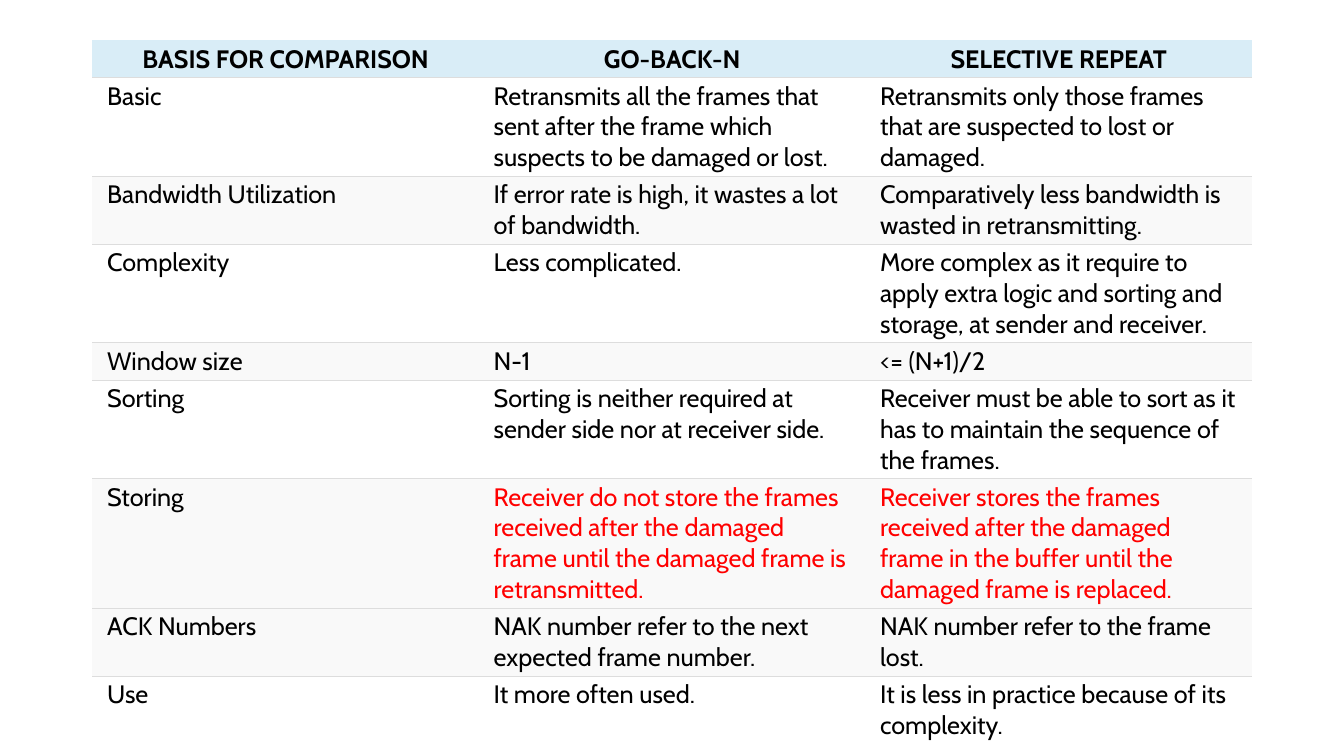
from dataclasses import dataclass

import pptx
import pptx.dml.color
import pptx.enum.text
import pptx.oxml.ns
import pptx.table
import pptx.text.text
import pptx.util
from lxml import etree

Cm = pptx.util.Cm
RGB = pptx.dml.color.RGBColor
Align = pptx.enum.text.PP_ALIGN
Anchor = pptx.enum.text.MSO_ANCHOR


@dataclass(frozen=True)
class Theme:
    font: str = "Cabin"
    size: int = 18
    ink: str = "000000"
    alert: str = "FF0000"
    head: str = "D9EDF7"
    plain: str = "FFFFFF"
    shade: str = "F9F9F9"
    rule: str = "DDDDDD"
    weight: float = 0.75


THEME = Theme()


@dataclass(frozen=True)
class Row:
    texts: tuple[str, str, str]
    height: float
    fill: str = THEME.plain
    accent: str = THEME.ink
    head: bool = False


ROWS = [
    Row(("BASIS FOR COMPARISON", "GO-BACK-N", "SELECTIVE REPEAT"),
        0.81, THEME.head, head=True),
    Row(("Basic",
         "Retransmits all the frames that sent after the frame which "
         "suspects to be damaged or lost.",
         "Retransmits only those frames that are suspected to lost or damaged."),
        2.08),
    Row(("Bandwidth Utilization",
         "If error rate is high, it wastes a lot of bandwidth.",
         "Comparatively less bandwidth is wasted in retransmitting."),
        1.45, THEME.shade),
    Row(("Complexity",
         "Less complicated.",
         "More complex as it require to apply extra logic and sorting and "
         "storage, at sender and receiver."),
        2.08),
    Row(("Window size", "N-1", "<= (N+1)/2"), 0.51, THEME.shade),
    Row(("Sorting",
         "Sorting is neither required at sender side nor at receiver side.",
         "Receiver must be able to sort as it has to maintain the sequence "
         "of the frames."),
        1.75),
    Row(("Storing",
         "Receiver do not store the frames received after the damaged frame "
         "until the damaged frame is retransmitted.",
         "Receiver stores the frames received after the damaged frame in the "
         "buffer until the damaged frame is replaced."),
        2.39, THEME.shade, THEME.alert),
    Row(("ACK Numbers",
         "NAK number refer to the next expected frame number.",
         "NAK number refer to the frame lost."),
        1.45, THEME.shade),
    Row(("Use",
         "It more often used.",
         "It is less in practice because of its complexity."),
        1.12),
]


def write(frame: pptx.text.text.TextFrame, text: str, *, color: str = THEME.ink,
          bold: bool = False, align: Align = Align.LEFT) -> None:
    para = frame.paragraphs[0]
    para.alignment = align
    run = para.add_run()
    run.text = text
    font = run.font
    font.name, font.size, font.bold = THEME.font, pptx.util.Pt(THEME.size), bold
    font.color.rgb = RGB.from_string(color)


def edge(cell: pptx.table._Cell, sides: str) -> None:
    """Rule the sides named by the letters L, R, T and B; clear the others."""
    qn = pptx.oxml.ns.qn
    props = cell._tc.get_or_add_tcPr()
    for side in "LRTB":
        line = etree.SubElement(props, qn(f"a:ln{side}"))
        if side in sides:
            line.set("w", str(pptx.util.Pt(THEME.weight)))
            fill = etree.SubElement(line, qn("a:solidFill"))
            etree.SubElement(fill, qn("a:srgbClr"), val=THEME.rule)
        else:
            etree.SubElement(line, qn("a:noFill"))


def draw(cell: pptx.table._Cell, text: str, row: Row, color: str,
         sides: str) -> None:
    cell.margin_left = cell.margin_right = Cm(0.37)
    cell.margin_top = cell.margin_bottom = Cm(0.08)
    cell.vertical_anchor = Anchor.MIDDLE if row.head else Anchor.TOP
    edge(cell, sides)
    cell.fill.solid()
    cell.fill.fore_color.rgb = RGB.from_string(row.fill)
    write(cell.text_frame, text, color=color, bold=row.head,
          align=Align.CENTER if row.head else Align.LEFT)


def main() -> None:
    deck = pptx.Presentation()
    deck.slide_width, deck.slide_height = Cm(33.87), Cm(19.05)
    slide = deck.slides.add_slide(deck.slide_layouts[6])
    total = sum(row.height for row in ROWS)
    grid = slide.shapes.add_table(len(ROWS), 3, Cm(2.33), Cm(1.02),
                                  Cm(29.22), Cm(total)).table
    grid.first_row = grid.horz_banding = False
    for col in grid.columns:
        col.width = Cm(9.74)
    for r, row in enumerate(ROWS):
        grid.rows[r].height = Cm(row.height)
        sides = "B" if r == 0 else "T" if r == len(ROWS) - 1 else "TB"
        for c, text in enumerate(row.texts):
            color = row.accent if c else THEME.ink
            draw(grid.cell(r, c), text, row, color, sides)
    deck.save("out.pptx")


if __name__ == "__main__":
    main()
